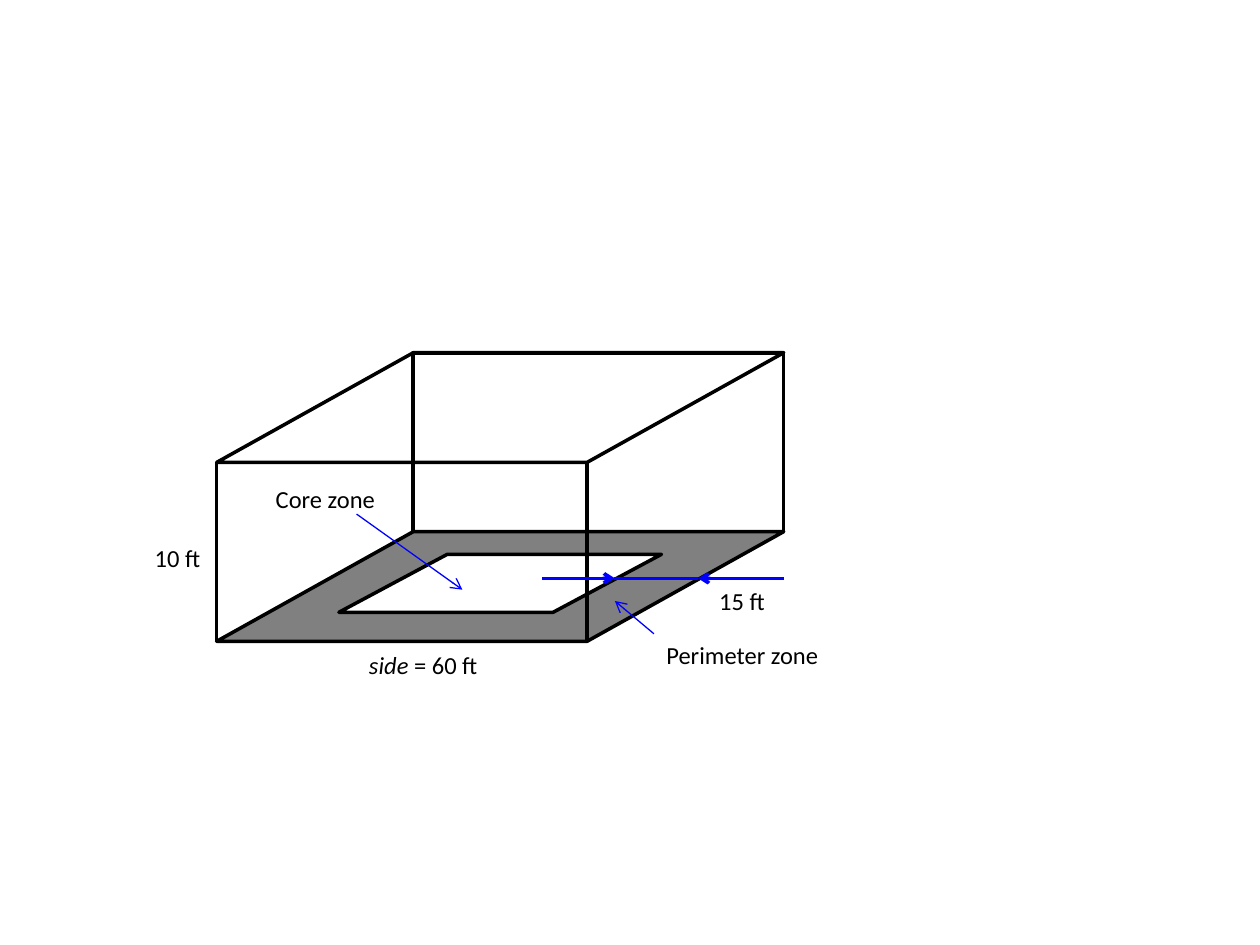
from lxml.etree import SubElement
from pptx import Presentation
from pptx.dml.color import RGBColor
from pptx.enum.shapes import MSO_CONNECTOR, MSO_SHAPE
from pptx.enum.text import MSO_AUTO_SIZE
from pptx.oxml.ns import qn
from pptx.util import Inches, Pt

COLORS = {"edge": "000000", "perimeter": "808080", "core": "FFFFFF", "arrow": "0000FF"}
FONT = {"name": "Calibri", "size": Pt(14)}

LEFT, TOP = 1.72, 2.8
SIDE, HEIGHT = 2.94, 1.42
DEPTH_X, DEPTH_Y = 1.56, 0.87
FLOOR_TOP = TOP + HEIGHT

FACES = [
    ("parallelogram", LEFT, FLOOR_TOP, SIDE + DEPTH_X, DEPTH_Y, DEPTH_X, "perimeter"),
    ("parallelogram", 2.69, 4.4, 2.56, 0.46, 0.86, "core"),
    ("rectangle", LEFT, TOP + DEPTH_Y, SIDE, HEIGHT, 0, None),
    ("rectangle", LEFT + DEPTH_X, TOP, SIDE, HEIGHT, 0, None),
    ("parallelogram", LEFT, TOP, SIDE + DEPTH_X, DEPTH_Y, DEPTH_X, None),
]
DIMENSION_Y = 4.59
LINES = [
    ((5.19, 5.03), (4.88, 4.77), 0.75, True),
    ((4.3, DIMENSION_Y), (4.88, DIMENSION_Y), 2, True),
    ((6.22, DIMENSION_Y), (5.54, DIMENSION_Y), 2, True),
    ((5.54, DIMENSION_Y), (4.87, DIMENSION_Y), 2, False),
    ((2.83, 4.08), (3.67, 4.68), 0.75, True),
]
LABELS = [
    (5.19, 5.03, 1.42, [("Perimeter zone", False)]),
    (5.61, 4.6, 0.57, [("15 ft", False)]),
    (1.13, 4.26, 0.57, [("10 ft", False)]),
    (2.09, 3.79, 1, [("Core zone", False)]),
    (2.83, 5.11, 1.09, [("side", True), (" = 60 ft", False)]),
]
LABEL_HEIGHT = 0.34


def color(name):
    return RGBColor.from_string(COLORS[name])


def add_face(slide, kind, left, top, width, height, slant, fill):
    preset = MSO_SHAPE.PARALLELOGRAM if kind == "parallelogram" else MSO_SHAPE.RECTANGLE
    shape = slide.shapes.add_shape(preset, *map(Inches, (left, top, width, height)))
    shape.shadow.inherit = False
    if slant:
        shape.adjustments[0] = slant / height
    if fill:
        shape.fill.solid()
        shape.fill.fore_color.rgb = color(fill)
    else:
        shape.fill.background()
    shape.line.color.rgb = color("edge")
    shape.line.width = Pt(2)


def add_line(slide, start, end, width, arrow):
    connector = slide.shapes.add_connector(
        MSO_CONNECTOR.STRAIGHT, *map(Inches, (*start, *end))
    )
    connector.line.color.rgb = color("arrow")
    connector.line.width = Pt(width)
    if arrow:
        SubElement(connector.line._get_or_add_ln(), qn("a:tailEnd"), type="arrow")
    SubElement(connector._element.spPr, qn("a:effectLst"))


def add_label(slide, left, top, width, runs):
    box = slide.shapes.add_textbox(*map(Inches, (left, top, width, LABEL_HEIGHT)))
    box.text_frame.word_wrap = False
    box.text_frame.auto_size = MSO_AUTO_SIZE.SHAPE_TO_FIT_TEXT
    for text, italic in runs:
        run = box.text_frame.paragraphs[0].add_run()
        run.text = text
        for attribute, value in {**FONT, "italic": italic}.items():
            setattr(run.font, attribute, value)
        run.font.color.rgb = color("edge")


def main():
    presentation = Presentation()
    presentation.slide_width, presentation.slide_height = Inches(10), Inches(7.5)
    slide = presentation.slides.add_slide(presentation.slide_layouts[6])
    for add, items in ((add_face, FACES), (add_line, LINES), (add_label, LABELS)):
        for item in items:
            add(slide, *item)
    presentation.save("out.pptx")


if __name__ == "__main__":
    main()
